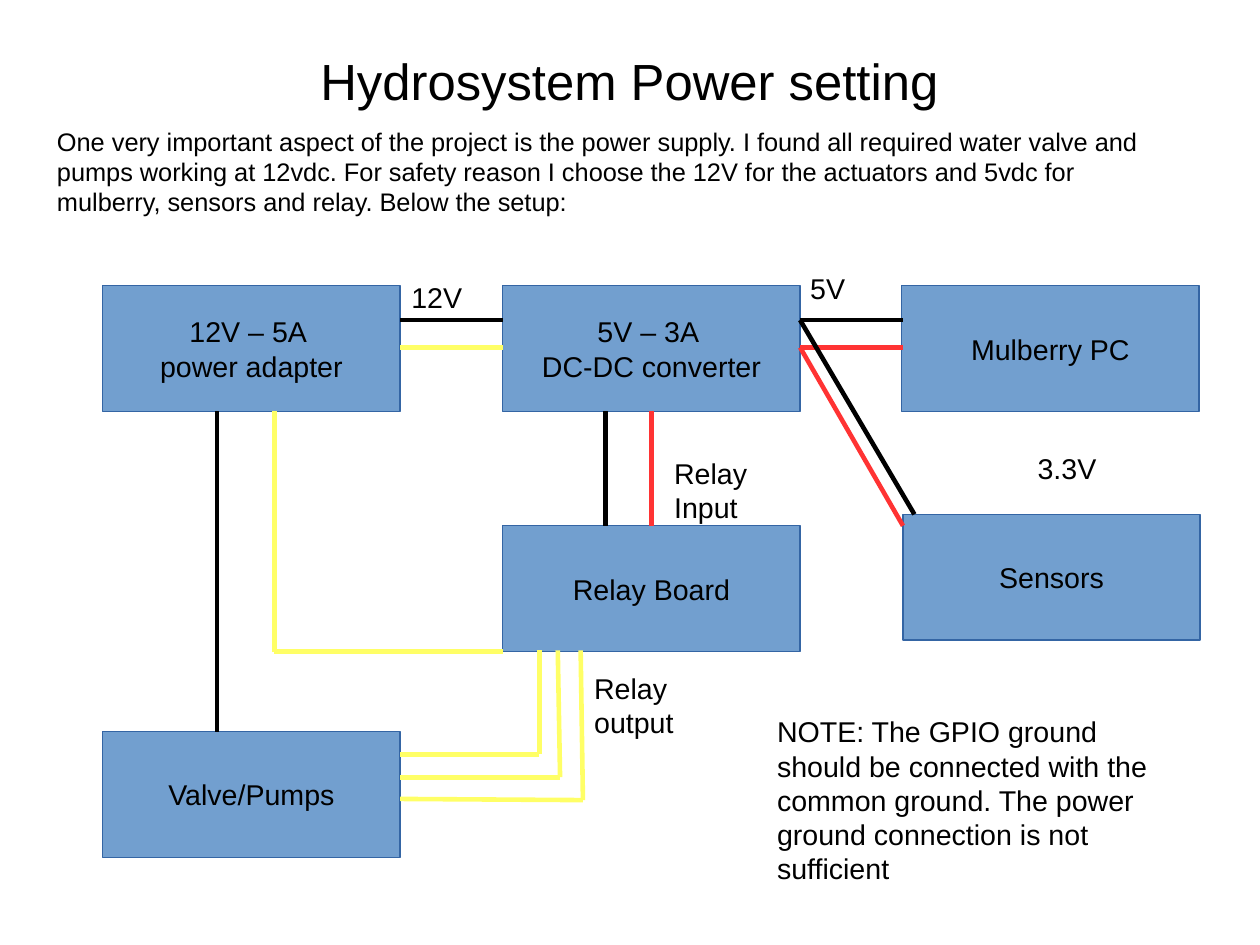
from dataclasses import dataclass

from lxml.etree import SubElement
from pptx import Presentation
from pptx.dml.color import RGBColor
from pptx.enum.shapes import MSO_CONNECTOR as Connector, MSO_SHAPE as Preset
from pptx.enum.text import MSO_ANCHOR as Anchor, PP_ALIGN as Align
from pptx.oxml.ns import qn
from pptx.util import Inches, Pt

COLORS = {
    "black": "000000",
    "yellow": "FFFF66",
    "red": "FF3333",
    "block": "729FCF",
    "outline": "3465A4",
}
FONT = "Arial"
CM_PER_INCH = 2.54
PAGE_WIDTH, PAGE_HEIGHT = 28 / CM_PER_INCH, 21 / CM_PER_INCH
BLOCK_WIDTH, BLOCK_HEIGHT = 2.6, 1.1
WIRE_WIDTH = 2.89


@dataclass(frozen=True)
class Block:
    left: float
    top: float
    lines: tuple[str, ...]


@dataclass(frozen=True)
class Wire:
    color: str
    points: tuple[tuple[float, float], ...]


@dataclass(frozen=True)
class Label:
    left: float
    top: float
    width: float
    height: float
    text: str
    size: int = 18


BLOCKS = (
    Block(0.9, 2.5, ("12V – 5A ", "power adapter")),
    Block(4.4, 2.5, ("5V – 3A ", "DC-DC converter")),
    Block(7.89, 2.5, ("Mulberry PC",)),
    Block(0.9, 6.4, ("Valve/Pumps",)),
    Block(4.4, 4.6, ("Relay Board",)),
    Block(7.9, 4.5, ("Sensors",)),
)

WIRES = (
    Wire("black", ((3.5, 2.8), (4.4, 2.8))),
    Wire("yellow", ((3.5, 3.04), (4.4, 3.04))),
    Wire("black", ((7, 2.8), (7.9, 2.8))),
    Wire("red", ((7, 3.04), (7.9, 3.04))),
    Wire("black", ((5.3, 3.6), (5.3, 4.6))),
    Wire("red", ((5.7, 3.6), (5.7, 4.6))),
    Wire("black", ((1.9, 3.6), (1.9, 6.4))),
    Wire("yellow", ((2.4, 3.6), (2.4, 5.7), (4.4, 5.7))),
    Wire("yellow", ((3.5, 6.6), (4.72, 6.6), (4.72, 5.69))),
    Wire("yellow", ((3.5, 6.8), (4.9, 6.8), (4.88, 5.69))),
    Wire("yellow", ((3.5, 6.99), (5.1, 7), (5.08, 5.69))),
    Wire("black", ((7, 2.8), (8, 4.5))),
    Wire("red", ((7, 3.04), (7.9, 4.6))),
)

LABELS = (
    Label(
        0.4, 1.05, 9.85, 0.85,
        "One very important aspect of the project is the power supply. "
        "I found all required water valve and pumps working at 12vdc. "
        "For safety reason I choose the 12V for the actuators and 5vdc for "
        "mulberry, sensors and relay. Below the setup:",
        16,
    ),
    Label(3.5, 2.4, 0.9, 0.38, "12V"),
    Label(6.99, 2.32, 0.9, 0.38, "5V"),
    Label(8.98, 3.9, 0.9, 0.38, "3.3V"),
    Label(5.1, 5.82, 0.9, 0.66, "Relay output"),
    Label(5.8, 3.94, 0.9, 0.66, "Relay Input"),
    Label(
        6.7, 6.2, 3.8, 1.5,
        "NOTE: The GPIO ground should be connected with the common ground. "
        "The power ground connection is not sufficient",
    ),
)


def rgb(name: str) -> RGBColor:
    return RGBColor.from_string(COLORS[name])


def write_lines(frame, lines: tuple[str, ...], size: int, align: Align) -> None:
    for index, line in enumerate(lines):
        para = frame.add_paragraph() if index else frame.paragraphs[0]
        para.text = line
        para.alignment = align
        para.font.name = FONT
        para.font.size = Pt(size)
        para.font.color.rgb = rgb("black")


def set_title(page, text: str) -> None:
    title = page.shapes.title
    title.left, title.top = Inches(0.55), Inches(0.3)
    title.width, title.height = Inches(9.92), Inches(0.81)
    frame = title.text_frame
    frame.vertical_anchor = Anchor.MIDDLE
    frame.margin_left = frame.margin_right = 0
    frame.margin_top = frame.margin_bottom = 0
    write_lines(frame, (text,), 32, Align.CENTER)


def draw_block(page, block: Block) -> None:
    shape = page.shapes.add_shape(
        Preset.RECTANGLE, Inches(block.left), Inches(block.top),
        Inches(BLOCK_WIDTH), Inches(BLOCK_HEIGHT),
    )
    shape.shadow.inherit = False
    shape.fill.solid()
    shape.fill.fore_color.rgb = rgb("block")
    shape.line.color.rgb = rgb("outline")
    shape.line.width = Pt(0)
    frame = shape.text_frame
    frame.word_wrap = False
    frame.vertical_anchor = Anchor.MIDDLE
    write_lines(frame, block.lines, 18, Align.CENTER)


def draw_wire(page, wire: Wire) -> None:
    for start, end in zip(wire.points, wire.points[1:]):
        line = page.shapes.add_connector(
            Connector.STRAIGHT, *(Inches(value) for value in start + end)
        )
        line.line.color.rgb = rgb(wire.color)
        line.line.width = Pt(WIRE_WIDTH)
        SubElement(line._element.spPr, qn("a:effectLst"))


def draw_label(page, label: Label) -> None:
    box = page.shapes.add_textbox(
        Inches(label.left), Inches(label.top),
        Inches(label.width), Inches(label.height),
    )
    box.text_frame.word_wrap = True
    write_lines(box.text_frame, (label.text,), label.size, Align.LEFT)


def main() -> None:
    deck = Presentation()
    deck.slide_width, deck.slide_height = Inches(PAGE_WIDTH), Inches(PAGE_HEIGHT)
    page = deck.slides.add_slide(deck.slide_layouts[5])
    set_title(page, "Hydrosystem Power setting")
    for block in BLOCKS:
        draw_block(page, block)
    for wire in WIRES:
        draw_wire(page, wire)
    for label in LABELS:
        draw_label(page, label)
    deck.save("out.pptx")


if __name__ == "__main__":
    main()
